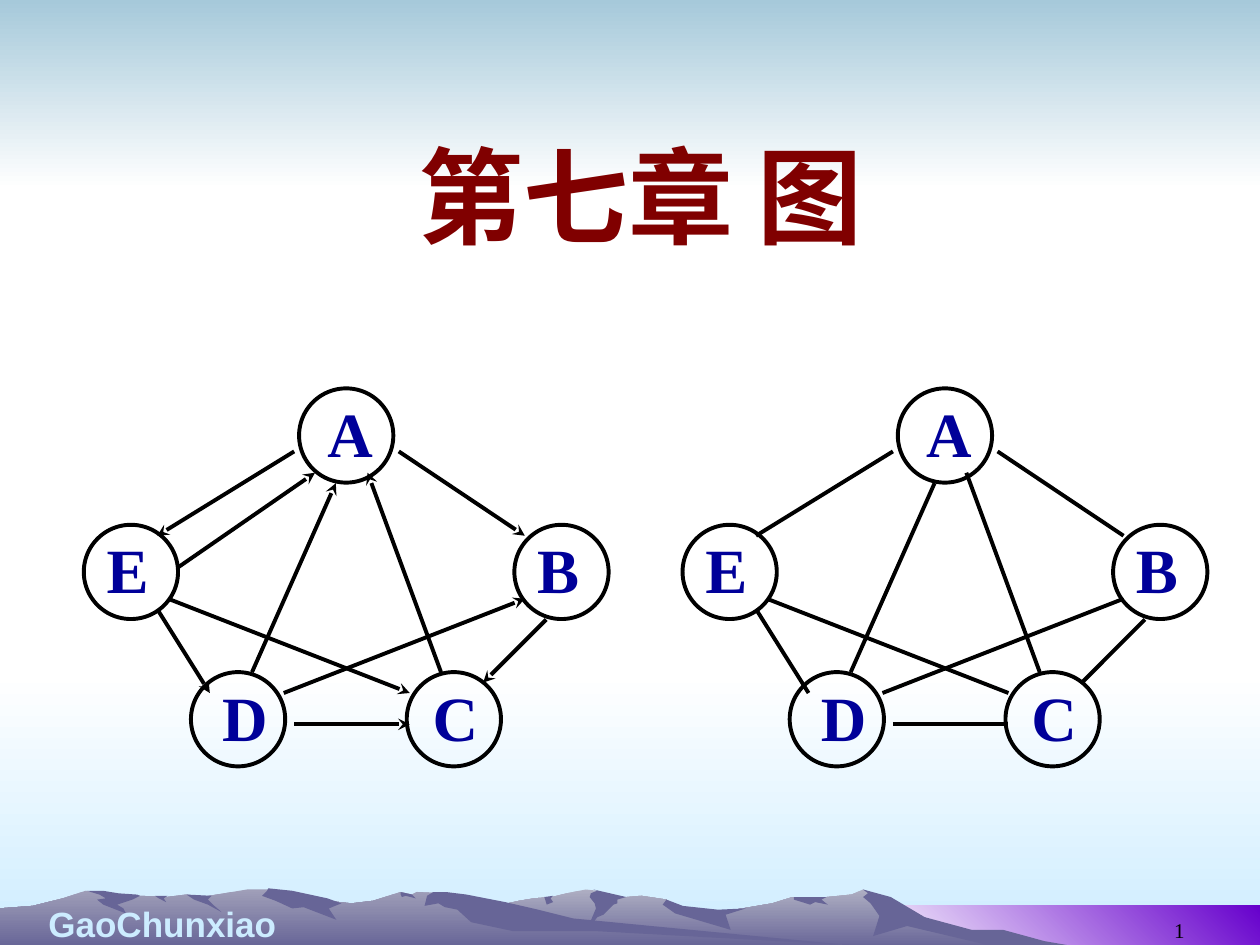
from lxml import etree
from pptx import Presentation
from pptx.dml.color import RGBColor
from pptx.enum.shapes import MSO_CONNECTOR, MSO_SHAPE
from pptx.enum.text import MSO_ANCHOR, PP_ALIGN
from pptx.oxml.ns import qn
from pptx.util import Cm, Pt

LEFT, CENTER, RIGHT = PP_ALIGN.LEFT, PP_ALIGN.CENTER, PP_ALIGN.RIGHT
TOP, MIDDLE, BOTTOM = MSO_ANCHOR.TOP, MSO_ANCHOR.MIDDLE, MSO_ANCHOR.BOTTOM
OVAL, LINE = MSO_SHAPE.OVAL, MSO_CONNECTOR.STRAIGHT

THEME = {
    "title": ("Noto Sans CJK SC", 60, "800000", True),
    "node": ("Times New Roman", 36, "000099", True),
    "author": ("Arial", 20, "CCECFF", True),
    "number": ("Times New Roman", 12, "000000", False),
    "ink": "000000", "stroke": 2.25,
    "sky": ("A6C9DA", "FFFFFF"), "ground": ("FFFFFF", "CCECFF"),
    "band": ("FFFFFF", "6600CC"),
    "far": ("AEAEC2", "676597"), "near": ("9F9EB8", "676597"),
    "shade": "676597",
}

TITLE = "第七章 图"
AUTHOR = "GaoChunxiao"
NUMBER = "1"

# Node: left and top of its circle, indent of its label, in cm
NODES = {
    "A": (6.03, 7.83, 0.32), "B": (10.37, 10.58, 0.21),
    "C": (8.2, 13.55, 0.27), "D": (3.85, 13.55, 0.38),
    "E": (1.69, 10.58, 0.21),
}
SIZE = 1.9

# Edge: x and y of its start, x and y of its end, in cm
EDGES = [
    (5.93, 9.1, 3.17, 10.8), (3.17, 12.28, 4.23, 13.97),
    (5.93, 14.6, 8.26, 14.6), (8.89, 13.55, 7.41, 9.53),
    (8.04, 9.1, 10.58, 10.8), (11.01, 12.49, 9.74, 13.76),
    (5.08, 13.55, 6.77, 9.74), (5.72, 13.97, 10.58, 12.07),
    (3.39, 12.07, 8.26, 13.97),
]
BACK = (3.6, 11.43, 6.35, 9.53)

# Graph: shift to the right in cm, edges, arrows or not
GRAPHS = [(0, EDGES + [BACK], True), (12.07, EDGES, False)]

# Panel: box in cm, colours, angle
PANELS = [
    ((0, 13.55, 25.4, 5.5), "ground", 270),
    ((0, 0, 25.4, 3.81), "sky", 270),
    ((17.36, 18.25, 8.04, 0.84), "band", 45),
]

# Outline points in steps of 0.0254 cm
UNIT = 0.0254
FAR = [
    (802, 746), (778, 740), (764, 738), (723, 725), (702, 712), (685, 706),
    (676, 710), (656, 712), (629, 712), (613, 717), (566, 725), (536, 721),
    (529, 714), (509, 711), (486, 713), (474, 707), (465, 706), (450, 709),
    (438, 712), (424, 713), (412, 715), (394, 719), (355, 725), (327, 731),
    (277, 745), (258, 752), (821, 752)]
NEAR = [
    (690, 752), (667, 750), (432, 732), (354, 709), (331, 708), (327, 710),
    (318, 708), (296, 715), (279, 717), (260, 715), (236, 717), (223, 708),
    (215, 706), (196, 706), (178, 709), (160, 712), (148, 710), (132, 712),
    (111, 711), (94, 712), (68, 707), (50, 713), (26, 719), (0, 721),
    (0, 752)]
FAR_SHADES = [
    [(796, 738), (771, 738), (734, 728), (707, 712), (685, 706), (689, 709),
     (685, 712), (691, 717), (698, 727), (693, 743), (720, 735), (792, 752),
     (858, 752), (829, 747)],
    [(471, 706), (474, 707), (469, 709), (468, 712), (472, 717), (473, 721),
     (465, 740), (474, 728), (479, 726), (487, 718), (490, 717), (490, 714),
     (497, 712)],
    [(529, 714), (526, 718), (536, 725), (580, 738), (576, 726), (592, 721),
     (570, 722), (542, 719)],
    [(650, 712), (630, 712), (630, 714), (643, 718), (647, 716), (657, 718),
     (652, 714), (656, 712)],
    [(433, 715), (432, 712), (439, 711), (437, 713), (439, 716), (434, 718)],
]
NEAR_SHADES = [
    [(212, 707), (208, 711), (219, 715), (232, 721), (241, 720), (267, 730),
     (261, 721), (271, 717), (260, 713), (232, 707), (213, 705)],
    [(370, 710), (354, 708), (344, 708), (339, 711), (337, 719), (348, 717),
     (353, 720), (363, 722), (374, 732), (407, 739), (472, 739), (690, 751),
     (683, 751), (455, 729), (427, 722), (401, 716)],
    [(318, 710), (318, 708), (327, 710), (330, 713), (322, 711), (319, 712)],
    [(148, 710), (168, 711), (165, 714), (169, 718), (176, 724), (165, 718),
     (154, 714)],
    [(133, 711), (130, 713), (132, 716), (126, 713), (123, 711)],
    [(109, 710), (111, 711), (105, 714), (93, 718), (98, 721), (100, 725),
     (82, 718), (77, 714), (84, 713), (79, 710), (69, 707), (82, 707),
     (94, 709)],
]
RANGES = [("far", FAR, FAR_SHADES), ("near", NEAR, NEAR_SHADES)]


def write(shape, text, style, align=LEFT, anchor=TOP, wrap=True):
    name, size, color, bold = THEME[style]
    frame = shape.text_frame
    frame.word_wrap = wrap
    frame.vertical_anchor = anchor
    para = frame.paragraphs[0]
    para.alignment = align
    run = para.add_run()
    run.text = text
    font = run.font
    font.name, font.size, font.bold = name, Pt(size), bold
    font.color.rgb = RGBColor.from_string(color)
    asian = etree.SubElement(font._element, qn("a:ea"))
    asian.set("typeface", name)


def label(shapes, box, text, style, **form):
    write(shapes.add_textbox(*map(Cm, box)), text, style, **form)


def paint(shape, color, angle=270):
    """Fill with one colour, or with a pair as a gradient; no line."""
    shape.shadow.inherit = False
    shape.line.fill.background()
    fill = shape.fill
    if isinstance(color, str):
        fill.solid()
        fill.fore_color.rgb = RGBColor.from_string(color)
        return
    fill.gradient()
    fill.gradient_angle = angle
    for stop, tone in zip(fill.gradient_stops, color):
        stop.color.rgb = RGBColor.from_string(tone)


def stroke(line):
    line.color.rgb = RGBColor.from_string(THEME["ink"])
    line.width = Pt(THEME["stroke"])


def ridge(shapes, points, color):
    path = shapes.build_freeform(*points[0], scale=Cm(UNIT))
    path.add_line_segments(points[1:], close=True)
    paint(path.convert_to_shape(), color)


def link(shapes, ends, arrow):
    edge = shapes.add_connector(LINE, *map(Cm, ends))
    stroke(edge.line)
    if arrow:
        tail = etree.SubElement(edge.line._get_or_add_ln(), qn("a:tailEnd"))
        tail.set("type", "stealth")
    etree.SubElement(edge._element.spPr, qn("a:effectLst"))


def graph(shapes, shift, edges, arrow):
    for left, top, _ in NODES.values():
        node = shapes.add_shape(
            OVAL, Cm(left + shift), Cm(top), Cm(SIZE), Cm(SIZE))
        node.shadow.inherit = False
        node.fill.background()
        stroke(node.line)
    for x1, y1, x2, y2 in edges:
        link(shapes, (x1 + shift, y1, x2 + shift, y2), arrow)
    for name, (left, top, indent) in NODES.items():
        box = (left + indent + shift, top, 1.42, 1.78)
        label(shapes, box, name, "node", wrap=False)


def main():
    deck = Presentation()
    deck.slide_width, deck.slide_height = Cm(25.4), Cm(19.05)
    slide = deck.slides.add_slide(deck.slide_layouts[5])
    shapes = slide.shapes

    for box, color, angle in PANELS:
        panel = shapes.add_shape(MSO_SHAPE.RECTANGLE, *map(Cm, box))
        paint(panel, THEME[color], angle)
    for color, crest, shades in RANGES:
        group = shapes.add_group_shape().shapes
        ridge(group, crest, THEME[color])
        for shade in shades:
            ridge(group, shade, THEME["shade"])

    label(shapes, (0, 18.06, 6.55, 1.12), AUTHOR, "author", align=CENTER)
    label(shapes, (18.21, 17.86, 5.92, 1.27), NUMBER, "number",
          align=RIGHT, anchor=BOTTOM)

    title = shapes.title
    title.left, title.top = Cm(2.12), Cm(2.33)
    title.width, title.height = Cm(21.59), Cm(3.18)
    write(title, TITLE, "title", align=CENTER, anchor=MIDDLE)
    title.element.getparent().append(title.element)  # in front of the sky

    for shift, edges, arrow in GRAPHS:
        graph(shapes.add_group_shape().shapes, shift, edges, arrow)
    deck.save("out.pptx")


if __name__ == "__main__":
    main()
